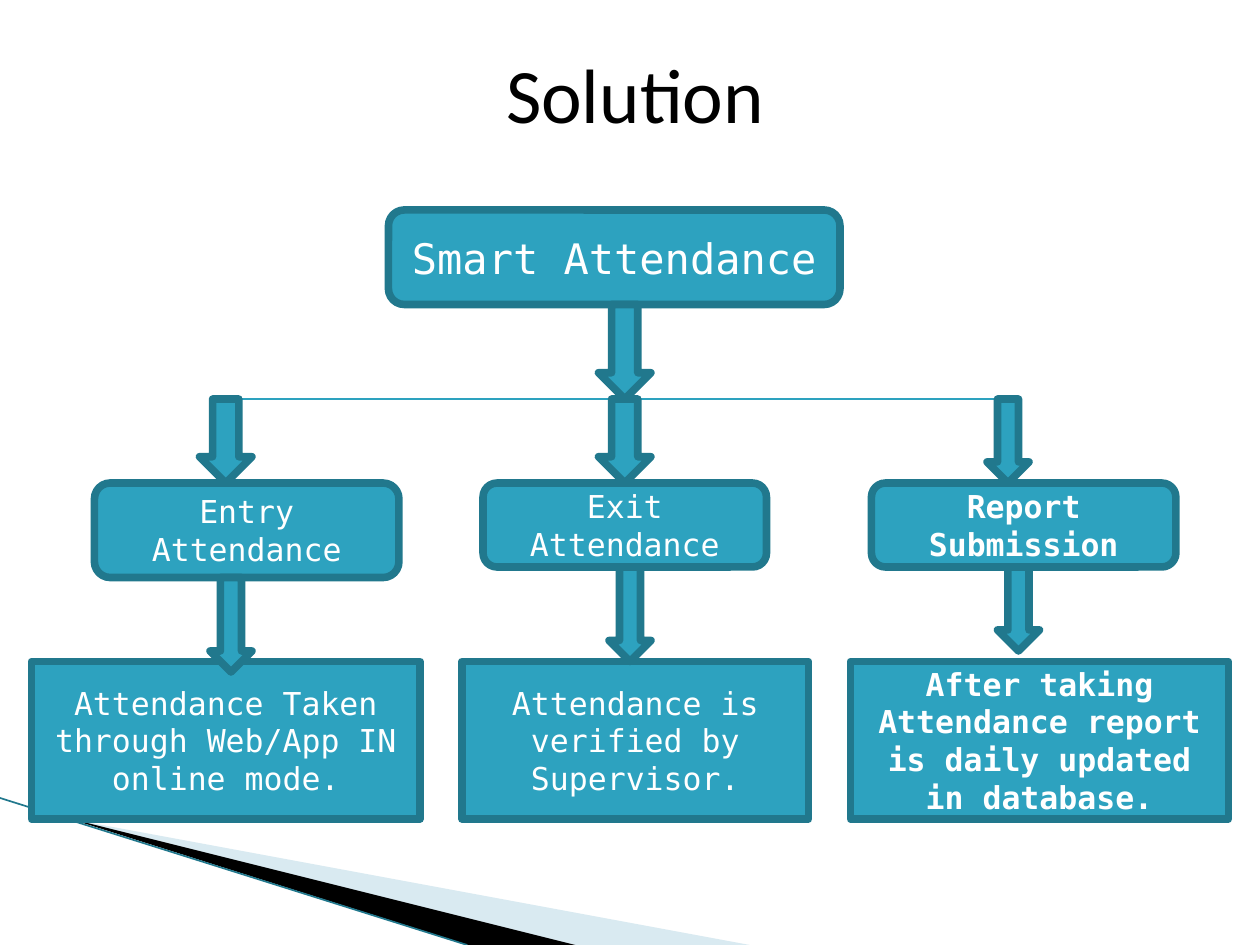
"""Builds the Solution slide: a tree of smart attendance steps."""
import lxml.etree
import pptx
import pptx.dml.color
import pptx.enum.shapes
import pptx.enum.text
import pptx.oxml.ns
import pptx.util

COLORS = {
    "box": "2DA2BF",
    "edge": "21788D",
    "pale": "A0CBDC",
    "black": "000000",
    "white": "FFFFFF",
}
SHAPES = pptx.enum.shapes.MSO_SHAPE
COLUMNS, ROWS = 120, 90


def color(name):
    """Return the named colour."""
    return pptx.dml.color.RGBColor.from_string(COLORS[name])


def write(frame, text, size=18, font="DejaVu Sans Mono", ink="white", bold=False):
    """Put centred, formatted text into a text frame."""
    frame.word_wrap = True
    frame.auto_size = pptx.enum.text.MSO_AUTO_SIZE.NONE
    frame.vertical_anchor = pptx.enum.text.MSO_ANCHOR.MIDDLE
    paragraph = frame.paragraphs[0]
    paragraph.alignment = pptx.enum.text.PP_ALIGN.CENTER
    run = paragraph.add_run()
    run.text = text
    run.font.size = pptx.util.Pt(size)
    run.font.name = font
    run.font.bold = bold
    run.font.color.rgb = color(ink)


class Diagram:
    """Hold the slide, its grid and the style of its elements."""

    def __init__(self, deck):
        """Add a title-only slide to the deck."""
        self.slide = deck.slides.add_slide(deck.slide_layouts[5])
        self.column = deck.slide_width / COLUMNS
        self.row = deck.slide_height / ROWS

    def place(self, left, top, width, height):
        """Turn grid cells into slide lengths."""
        return (round(left * self.column), round(top * self.row),
                round(width * self.column), round(height * self.row))

    def title(self, text, *cells):
        """Move and fill the title placeholder."""
        heading = self.slide.shapes.title
        heading.left, heading.top, heading.width, heading.height = self.place(*cells)
        write(heading.text_frame, text, size=44, font="Calibri", ink="black")

    def block(self, kind, *cells, text="", **style):
        """Add an outlined shape with optional text."""
        block = self.slide.shapes.add_shape(kind, *self.place(*cells))
        block.shadow.inherit = False
        block.fill.solid()
        block.fill.fore_color.rgb = color("box")
        block.line.color.rgb = color("edge")
        block.line.width = pptx.util.Pt(4.33)
        if text:
            write(block.text_frame, text, **style)

    def arrow(self, center, top, width, height):
        """Add a down arrow around a centre column."""
        self.block(SHAPES.DOWN_ARROW, center - width / 2, top, width, height)

    def line(self, *ends, ink, width):
        """Add a straight line between two grid points."""
        line = self.slide.shapes.add_connector(
            pptx.enum.shapes.MSO_CONNECTOR.STRAIGHT, *self.place(*ends))
        line.line.color.rgb = color(ink)
        line.line.width = pptx.util.Pt(width)
        lxml.etree.SubElement(line.element.spPr, pptx.oxml.ns.qn("a:effectLst"))

    def wedge(self, ink, points, opacity=100):
        """Add a filled outline through grid points."""
        start, *others = [(x * self.column, y * self.row) for x, y in points]
        builder = self.slide.shapes.build_freeform(*start)
        builder.add_line_segments(others, close=True)
        wedge = builder.convert_to_shape()
        wedge.shadow.inherit = False
        wedge.line.fill.background()
        wedge.fill.solid()
        wedge.fill.fore_color.rgb = color(ink)
        if opacity < 100:
            tint = wedge.element.spPr.find(".//" + pptx.oxml.ns.qn("a:srgbClr"))
            alpha = lxml.etree.SubElement(tint, pptx.oxml.ns.qn("a:alpha"))
            alpha.set("val", str(opacity * 1000))


deck = pptx.Presentation()
deck.slide_width = pptx.util.Inches(10)
deck.slide_height = pptx.util.Inches(7.5)
diagram = Diagram(deck)

diagram.wedge("pale", [(6.6, 78), (71.4, 90), (54.7, 90)], opacity=40)
diagram.wedge("black", [(6.4, 77.9), (54.8, 90), (44.6, 90)])
diagram.line(0, 76, 44.5, 90, ink="edge", width=0.95)

diagram.title("Solution", 6, 3.6, 109, 10.4)
diagram.block(SHAPES.ROUNDED_RECTANGLE, 37, 20, 43, 9, text="Smart Attendance", size=24)
diagram.arrow(59.5, 29, 5, 9)
diagram.line(21, 38, 96, 38, ink="box", width=0.75)

STEP_TOP, DETAIL_TOP = 46, 63
branches = [
    dict(step="Entry Attendance", step_cells=(9, 29, 9), upper=(21.5, 5),
         detail="Attendance Taken through Web/App IN online mode.",
         detail_cells=(3, 37), lower=(22, 9), bold=False),
    dict(step="Exit Attendance", step_cells=(46, 27, 8), upper=(59.5, 5),
         detail="Attendance is verified by Supervisor.",
         detail_cells=(44, 33), lower=(60, 9), bold=False),
    dict(step="Report Submission", step_cells=(83, 29, 8), upper=(96, 4),
         detail="After taking Attendance report is daily updated in database.",
         detail_cells=(81, 36), lower=(97, 8), bold=True),
]
for branch in branches:
    left, width, height = branch["step_cells"]
    diagram.block(SHAPES.ROUNDED_RECTANGLE, left, STEP_TOP, width, height,
                  text=branch["step"], bold=branch["bold"])
    center, arrow_width = branch["upper"]
    diagram.arrow(center, 38, arrow_width, 8)
    detail_left, detail_width = branch["detail_cells"]
    diagram.block(SHAPES.RECTANGLE, detail_left, DETAIL_TOP, detail_width, 15,
                  text=branch["detail"], bold=branch["bold"])
    center, arrow_height = branch["lower"]
    diagram.arrow(center, STEP_TOP + height, 4, arrow_height)

deck.save("out.pptx")
